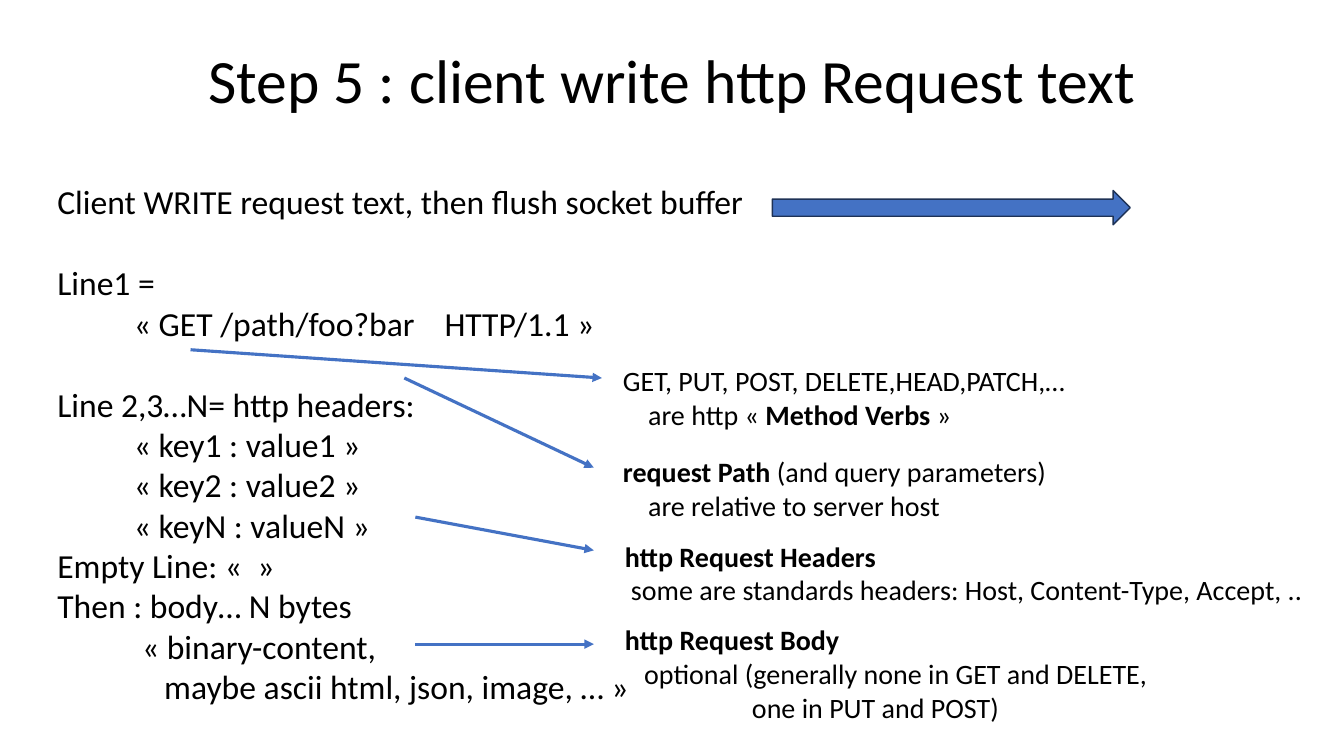
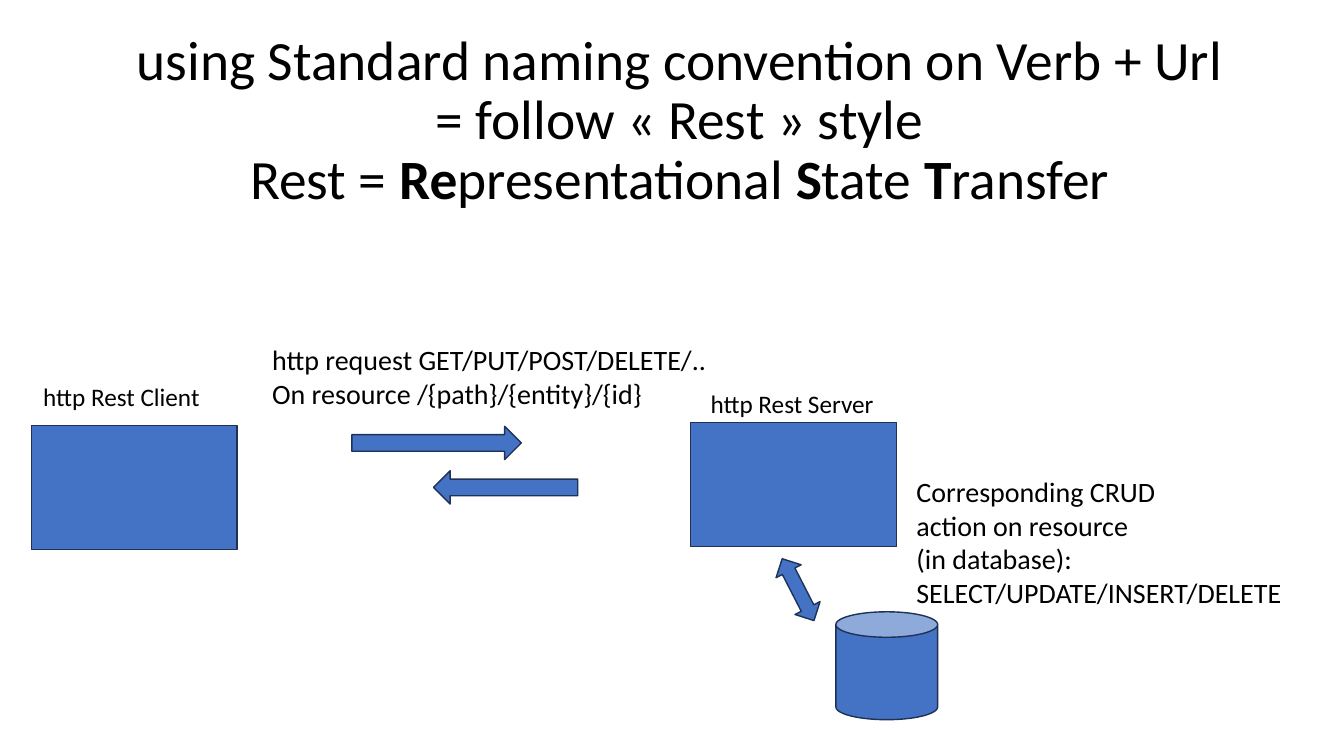
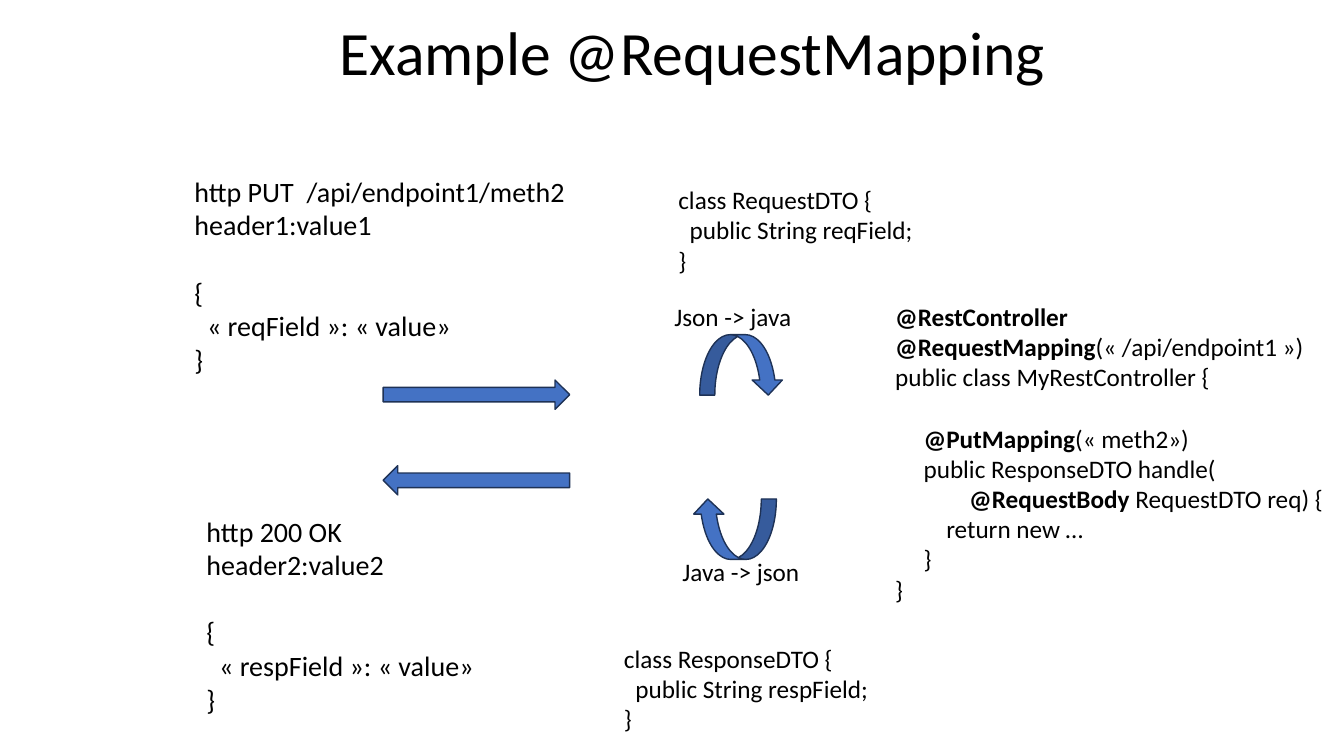
"""Build three slides on http requests and Rest."""
from dataclasses import dataclass
from typing import Any

from lxml import etree
from pptx import Presentation
from pptx.dml.color import RGBColor
from pptx.enum import shapes, text
from pptx.oxml import ns
from pptx.util import Emu, Pt

SCALE = 9144
KIND = shapes.MSO_SHAPE
Box = tuple[int, int, int, int]


@dataclass(frozen=True)
class Theme:
    """Colours, font and type sizes of the deck."""
    font: str = "Calibri"
    ink: RGBColor = RGBColor(0, 0, 0)
    fill: RGBColor = RGBColor(0x44, 0x72, 0xC4)
    edge: RGBColor = RGBColor(0x1E, 0x32, 0x56)
    title: float = 44
    long: float = 39.6
    lead: float = 24
    body: float = 20
    small: float = 18
    leading: float = 1.2


@dataclass(frozen=True)
class Line:
    """One paragraph; double asterisks enclose bold words."""
    words: str
    left: int = 0
    gap: int = 0
    tabs: tuple[int, ...] = ()


@dataclass(frozen=True)
class Note:
    """A block of text at a place."""
    box: Box
    size: float
    lines: tuple[Line | str, ...]


@dataclass(frozen=True)
class Form:
    """A filled preset shape."""
    kind: Any
    box: Box
    turn: float = 0


@dataclass(frozen=True)
class Page:
    """All that one slide shows."""
    title: Note
    forms: tuple[Form, ...]
    notes: tuple[Note, ...]
    links: tuple[Box, ...] = ()


THEME = Theme()


def px(*vals: int) -> list[Emu]:
    """Turn px into EMU."""
    return [Emu(val * SCALE) for val in vals]


def style(item: Any, **form: Any) -> None:
    """Set each format value on an item."""
    for key, val in form.items():
        setattr(item, key, val)


def add_line(para: Any, line: Line, size: float) -> None:
    """Fill one paragraph."""
    if line.gap:
        para.space_before = Pt(round(line.gap * size * THEME.leading))
    props = para._p.get_or_add_pPr()
    if line.left:
        props.set("marL", str(line.left * SCALE))
        props.set("indent", "0")
    if line.tabs:
        stops = etree.SubElement(props, ns.qn("a:tabLst"))
        for stop in line.tabs:
            etree.SubElement(stops, ns.qn("a:tab"), pos=str(stop * SCALE), algn="l")
    for spot, part in enumerate(line.words.split("**")):
        if part:
            run = para.add_run()
            run.text = part
            style(run.font, name=THEME.font, size=Pt(size), bold=spot % 2 == 1)
            run.font.color.rgb = THEME.ink


def add_note(slide: Any, note: Note) -> Any:
    """Draw a text block and return its frame."""
    frame = slide.shapes.add_textbox(*px(*note.box)).text_frame
    style(frame, word_wrap=True, margin_right=0)
    for spot, line in enumerate(note.lines):
        para = frame.add_paragraph() if spot else frame.paragraphs[0]
        add_line(para, Line(line) if isinstance(line, str) else line, note.size)
    return frame


def add_title(slide: Any, note: Note) -> None:
    """Draw a centred title."""
    frame = add_note(slide, note)
    style(frame, vertical_anchor=text.MSO_ANCHOR.MIDDLE, margin_left=0,
          margin_top=0, margin_bottom=0)
    for para in frame.paragraphs:
        style(para, alignment=text.PP_ALIGN.CENTER, line_spacing=0.9)


def add_form(slide: Any, form: Form) -> None:
    """Draw a filled shape."""
    shape = slide.shapes.add_shape(form.kind, *px(*form.box))
    style(shape, rotation=form.turn)
    shape.shadow.inherit = False
    shape.fill.solid()
    shape.fill.fore_color.rgb = THEME.fill
    shape.line.color.rgb = THEME.edge
    shape.line.width = Pt(1)


def add_link(slide: Any, ends: Box) -> None:
    """Draw a straight arrow."""
    link = slide.shapes.add_connector(shapes.MSO_CONNECTOR.STRAIGHT, *px(*ends))
    link.line.color.rgb = THEME.fill
    link.line.width = Pt(2.25)
    etree.SubElement(link.line._get_or_add_ln(), ns.qn("a:tailEnd"), type="triangle")
    etree.SubElement(link._element.spPr, ns.qn("a:effectLst"))


PAGES = (
    Page(
        Note((92, 40, 1150, 86), THEME.title, ("Step 5 : client write http Request text",)),
        (Form(KIND.RIGHT_ARROW, (766, 189, 355, 34)),),
        (
            Note((47, 175, 708, 535), THEME.lead, (
                "Client WRITE request text, then flush socket buffer",
                Line("Line1 =", gap=1),
                Line("\t« GET /path/foo?bar\tHTTP/1.1 »", tabs=(76, 384)),
                Line("Line 2,3…N= http headers:", gap=1),
                Line("« key1 : value1 »", 76),
                Line("« key2 : value2 »", 76),
                Line("« keyN : valueN »", 76),
                "Empty Line: «  »",
                "Then : body… N bytes",
                Line("« binary-content,", 84),
                Line("maybe ascii html, json, image, … »", 106),
            )),
            Note((608, 356, 475, 77), THEME.body, (
                "GET, PUT, POST, DELETE,HEAD,PATCH,…",
                Line("are http « **Method Verbs** »", 25),
            )),
            Note((608, 446, 454, 77), THEME.body, (
                "**request Path** (and query parameters)",
                Line("are relative to server host", 25),
            )),
            Note((610, 530, 706, 77), THEME.body, (
                "**http Request Headers**",
                Line("some are standards headers: Host, Content-Type, Accept, ..", 6),
            )),
            Note((610, 613, 555, 111), THEME.body, (
                "**http Request Body**",
                Line("optional (generally none in GET and DELETE,", 19),
                Line("one in PUT and POST)", 126),
            )),
        ),
        ((189, 347, 597, 375), (401, 375, 589, 464),
         (412, 513, 589, 546), (412, 639, 589, 639)),
    ),
    Page(
        Note((33, 30, 1282, 182), THEME.long, (
            "using Standard naming convention on Verb + Url",
            "= follow « Rest » style",
            "Rest = **Re**presentational **S**tate **T**ransfer",
        )),
        (
            Form(KIND.CAN, (829, 607, 101, 107)),
            Form(KIND.RECTANGLE, (685, 419, 204, 123)),
            Form(KIND.RIGHT_ARROW, (349, 423, 168, 33)),
            Form(KIND.RIGHT_ARROW, (430, 467, 143, 33), 180),
            Form(KIND.LEFT_RIGHT_ARROW, (757, 571, 69, 28), 62.8),
            Form(KIND.RECTANGLE, (31, 422, 204, 123)),
        ),
        (
            Note((260, 335, 469, 77), THEME.body, (
                "http request GET/PUT/POST/DELETE/..",
                "On resource /{path}/{entity}/{id}",
            )),
            Note((899, 466, 385, 145), THEME.body, (
                "Corresponding CRUD",
                "action on resource",
                "(in database):",
                "SELECT/UPDATE/INSERT/DELETE",
            )),
            Note((695, 380, 184, 40), THEME.small, ("http Rest Server",)),
            Note((33, 373, 178, 40), THEME.small, ("http Rest Client",)),
        ),
    ),
    Page(
        Note((112, 4, 1150, 103), THEME.title, ("Example @RequestMapping",)),
        (
            Form(KIND.RIGHT_ARROW, (380, 377, 185, 29)),
            Form(KIND.RIGHT_ARROW, (380, 462, 185, 29), 180),
            Form(KIND.CURVED_DOWN_ARROW, (694, 332, 83, 60)),
            Form(KIND.CURVED_DOWN_ARROW, (687, 495, 83, 60), 180),
        ),
        (
            Note((183, 168, 392, 212), THEME.body, (
                "http PUT  /api/endpoint1/meth2",
                "header1:value1",
                Line("{", gap=1),
                "  « reqField »: « value»",
                "}",
            )),
            Note((195, 505, 294, 212), THEME.body, (
                "http 200 OK",
                "header2:value2",
                Line("{", gap=1),
                "  « respField »: « value»",
                "}",
            )),
            Note((663, 178, 256, 101), THEME.small, (
                "class RequestDTO {", "  public String reqField;", "}",
            )),
            Note((659, 294, 144, 40), THEME.small, ("Json -> java",)),
            Note((667, 547, 144, 40), THEME.small, ("Java -> json",)),
            Note((609, 633, 265, 101), THEME.small, (
                "class ResponseDTO {", "  public String respField;", "}",
            )),
            Note((878, 294, 450, 313), THEME.small, (
                "**@RestController**",
                "**@RequestMapping**(« /api/endpoint1 »)",
                "public class MyRestController {",
                Line("     **@PutMapping**(« meth2»)", gap=1),
                "     public ResponseDTO handle(",
                "             **@RequestBody **RequestDTO req) {",
                "         return new …",
                "     }",
                "}",
            )),
        ),
    ),
)


def main() -> None:
    """Draw every page and save the deck."""
    deck = Presentation()
    wide, high = px(1333, 750)
    style(deck, slide_width=wide, slide_height=high)
    for page in PAGES:
        slide = deck.slides.add_slide(deck.slide_layouts[6])
        add_title(slide, page.title)
        for form in page.forms:
            add_form(slide, form)
        for note in page.notes:
            add_note(slide, note)
        for link in page.links:
            add_link(slide, link)
    deck.save("out.pptx")


if __name__ == "__main__":
    main()
